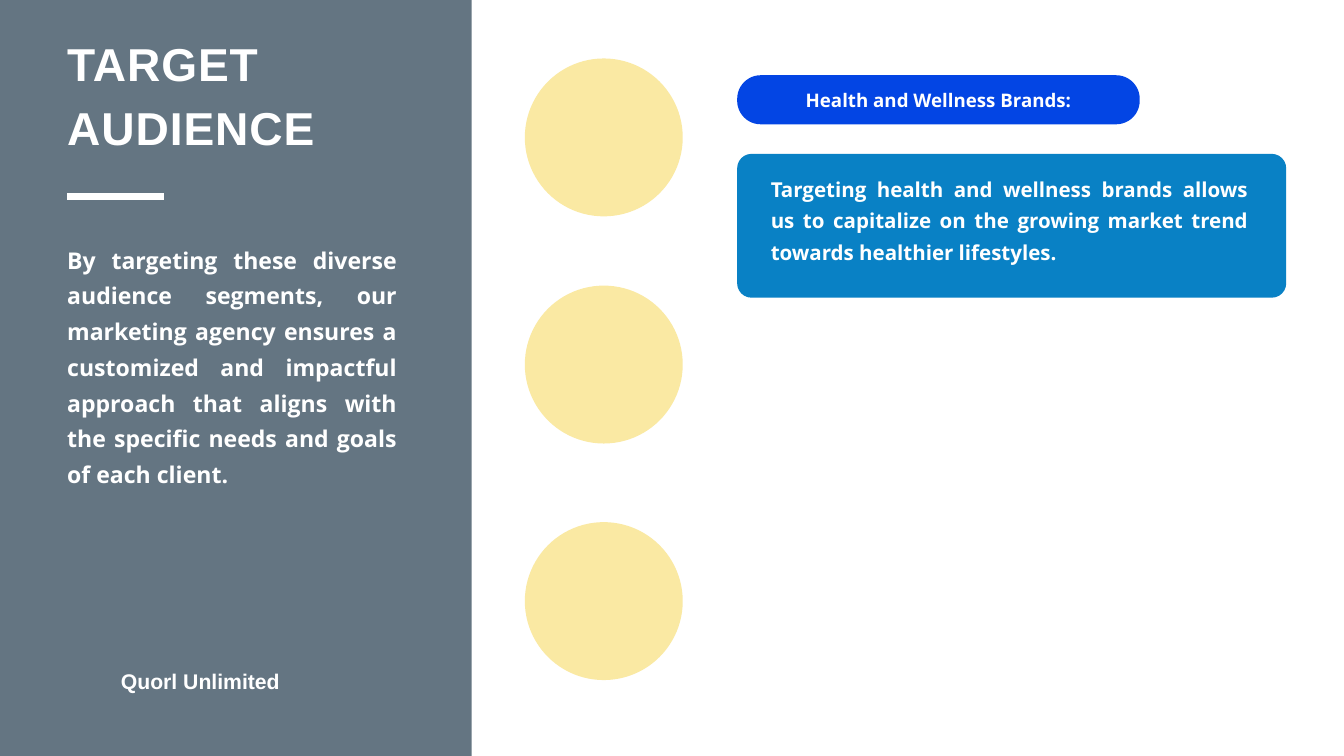
from dataclasses import dataclass

from pptx import Presentation
from pptx.dml.color import RGBColor
from pptx.enum.shapes import MSO_CONNECTOR, MSO_SHAPE
from pptx.enum.text import MSO_ANCHOR, PP_ALIGN
from pptx.oxml.ns import qn
from pptx.slide import Slide
from pptx.util import Inches, Pt
from lxml.etree import SubElement

COLOURS = {
    "white": "FFFFFF",
    "slate": "647582",
    "royal": "0345E4",
    "azure": "0981C5",
    "cream": "FAE9A3",
}


@dataclass
class Block:
    left: float
    top: float
    width: float
    height: float
    colour: str
    preset: MSO_SHAPE = MSO_SHAPE.RECTANGLE
    corner: float | None = None


@dataclass
class Label:
    left: float
    top: float
    width: float
    height: float
    text: str
    size: float
    leading: float
    font: str = "Open Sans"
    align: PP_ALIGN = PP_ALIGN.LEFT
    anchor: MSO_ANCHOR = MSO_ANCHOR.TOP
    inset: float = 0
    tracking: int = 0


CIRCLE_TOPS = (0.87, 4.25, 7.77)

BLOCKS = [
    Block(0, 0, 7.02, 11.25, "slate"),
    Block(10.97, 1.12, 5.99, 0.73, "royal", MSO_SHAPE.ROUNDED_RECTANGLE, 0.48),
    Block(10.97, 2.29, 8.17, 2.14, "azure", MSO_SHAPE.ROUNDED_RECTANGLE, 0.1),
    *(Block(7.81, top, 2.35, 2.35, "cream", MSO_SHAPE.OVAL) for top in CIRCLE_TOPS),
]

LABELS = [
    Label(10.97, 1.06, 5.99, 0.8, "Health and Wellness Brands:", 20, 28,
          align=PP_ALIGN.CENTER, anchor=MSO_ANCHOR.MIDDLE, inset=0.06),
    Label(1, 0.39, 5, 1.89, "TARGET AUDIENCE", 49.4, 69.1, font="Arial", tracking=100),
    Label(1, 3.54, 4.91, 3.68,
          "By targeting these diverse audience segments, our marketing agency ensures "
          "a customized and impactful approach that aligns with the specific needs and "
          "goals of each client.", 24.7, 38.3, align=PP_ALIGN.JUSTIFY),
    Label(1.8, 9.88, 3, 0.42, "Quorl Unlimited", 22.7, 31.8, font="Arial"),
    Label(11.47, 2.52, 7.1, 1.38,
          "Targeting health and wellness brands allows us to capitalize on the growing "
          "market trend towards healthier lifestyles.", 22, 34.1, align=PP_ALIGN.JUSTIFY),
]


def colour(name: str) -> RGBColor:
    return RGBColor.from_string(COLOURS[name])


def draw_block(slide: Slide, block: Block) -> None:
    shape = slide.shapes.add_shape(
        block.preset, Inches(block.left), Inches(block.top),
        Inches(block.width), Inches(block.height))
    shape.shadow.inherit = False
    shape.fill.solid()
    shape.fill.fore_color.rgb = colour(block.colour)
    shape.line.fill.background()
    if block.corner is not None:
        shape.adjustments[0] = block.corner


def draw_label(slide: Slide, label: Label) -> None:
    box = slide.shapes.add_textbox(
        Inches(label.left), Inches(label.top), Inches(label.width), Inches(label.height))
    frame = box.text_frame
    frame.word_wrap = True
    frame.vertical_anchor = label.anchor
    frame.margin_left = frame.margin_right = Inches(label.inset)
    frame.margin_top = frame.margin_bottom = Inches(label.inset)
    paragraph = frame.paragraphs[0]
    paragraph.alignment = label.align
    paragraph.line_spacing = Pt(label.leading)
    run = paragraph.add_run()
    run.text = label.text
    run.font.name = label.font
    run.font.size = Pt(label.size)
    run.font.bold = True
    run.font.color.rgb = colour("white")
    if label.tracking:
        run.font._element.set("spc", str(label.tracking))


def draw_rule(slide: Slide, left: float, right: float, top: float) -> None:
    connector = slide.shapes.add_connector(
        MSO_CONNECTOR.STRAIGHT, Inches(left), Inches(top), Inches(right), Inches(top))
    connector.line.color.rgb = colour("white")
    connector.line.width = Pt(7.5)
    SubElement(connector._element.spPr, qn("a:effectLst"))


def main() -> None:
    """Build the target audience slide."""
    presentation = Presentation()
    presentation.slide_width = Inches(20)
    presentation.slide_height = Inches(11.25)
    slide = presentation.slides.add_slide(presentation.slide_layouts[6])
    for block in BLOCKS:
        draw_block(slide, block)
    draw_rule(slide, 1, 2.44, 2.92)
    for label in LABELS:
        draw_label(slide, label)
    presentation.save("out.pptx")


if __name__ == "__main__":
    main()
